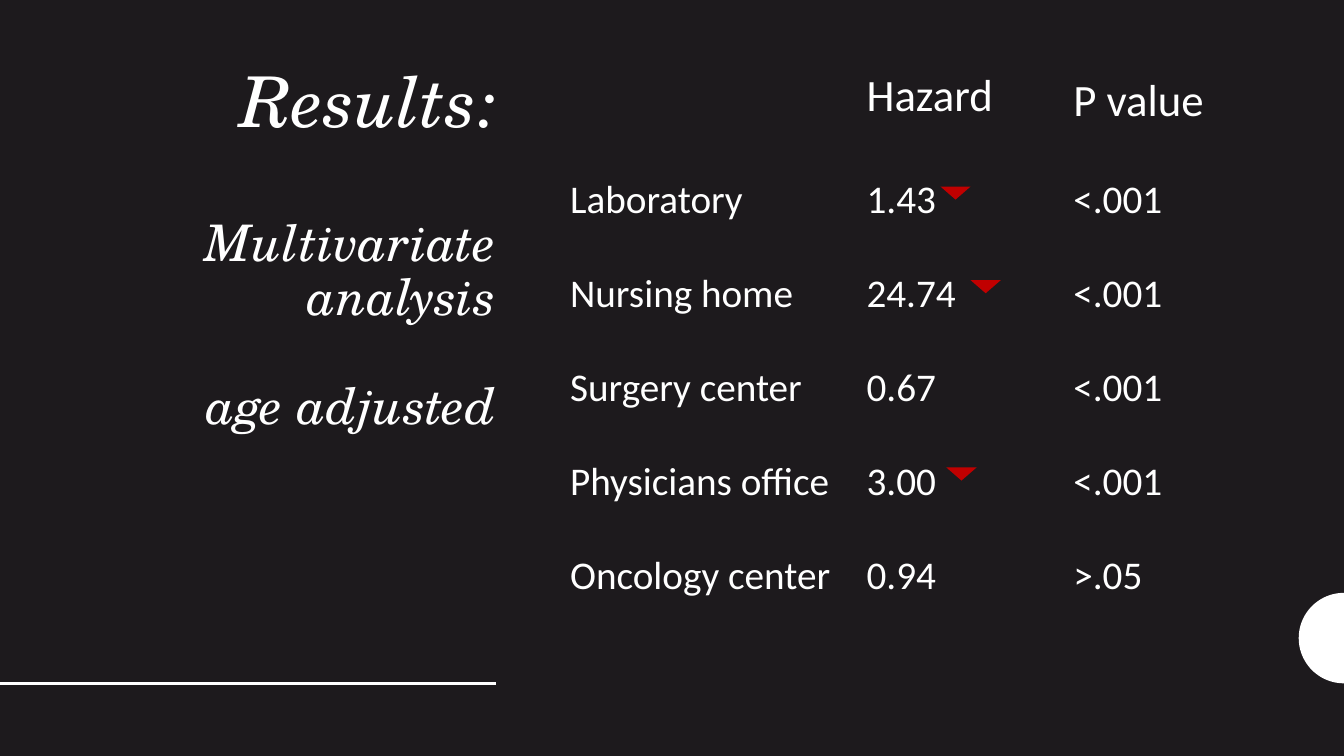
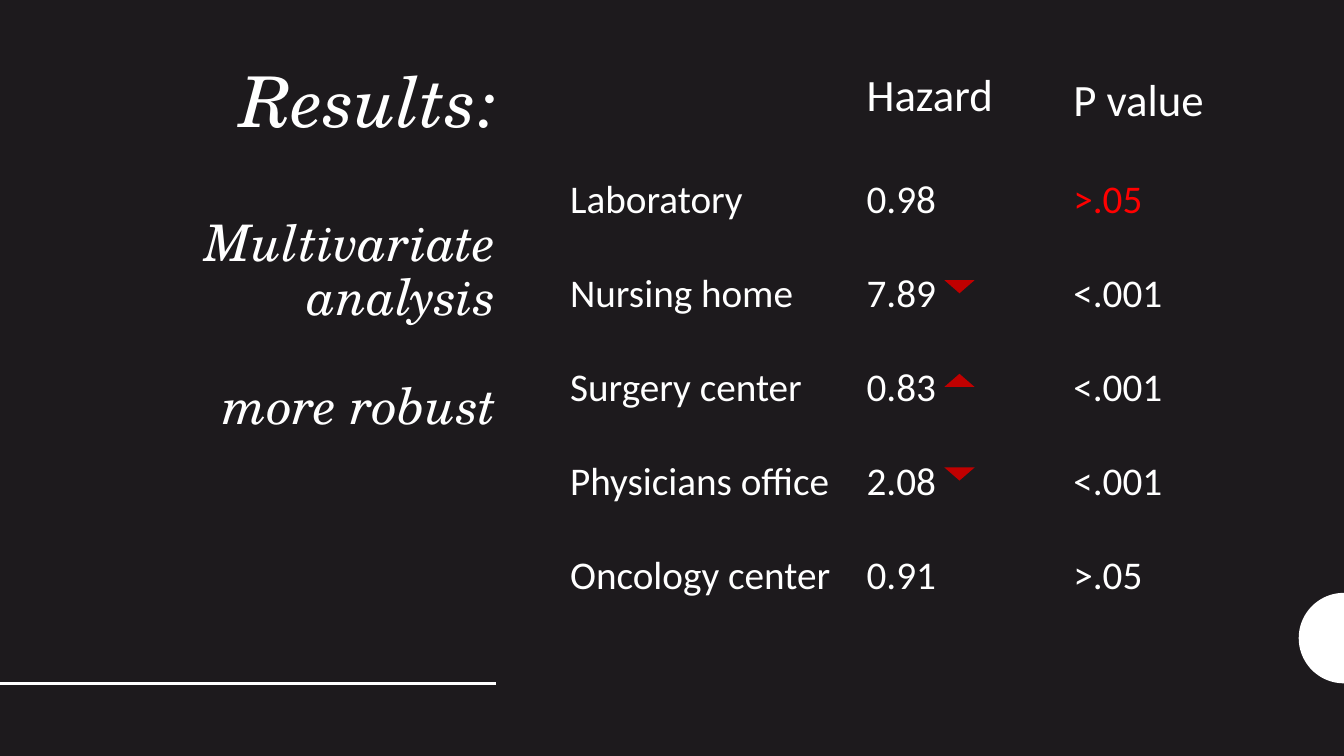
from math import cos, pi, sin

from lxml.etree import SubElement
from pptx import Presentation
from pptx.dml.color import RGBColor
from pptx.enum.shapes import MSO_CONNECTOR, MSO_SHAPE
from pptx.enum.text import MSO_ANCHOR, MSO_AUTO_SIZE, PP_ALIGN
from pptx.oxml.ns import qn
from pptx.util import Cm, Pt

COLORS = {"ground": "1D1A1D", "text": "FFFFFF", "marker": "C00000", "alert": "FF0000"}
TITLE_FONT = "TeX Gyre Schola"
BODY_FONT = "Calibri"

SITES = ["Laboratory", "Nursing home", "Surgery center", "Physicians office", "Oncology center"]
RESULTS = [
    {
        "model": "age adjusted",
        "hazards": ["1.43", "24.74", "0.67", "3.00", "0.94"],
        "p_values": ["<.001", "<.001", "<.001", "<.001", ">.05"],
        "alert_rows": [],
        "markers": [(0, 23.7, "down"), (1, 24.46, "down"), (3, 23.85, "down")],
    },
    {
        "model": "more robust",
        "hazards": ["0.98", "7.89", "0.83", "2.08", "0.91"],
        "p_values": [">.05", "<.001", "<.001", "<.001", ">.05"],
        "alert_rows": [0],
        "markers": [(1, 23.8, "down"), (2, 23.8, "up"), (3, 23.8, "down")],
    },
]

SLIDE_WIDTH, SLIDE_HEIGHT = 33.87, 19.05
TITLE_BOX = (2.11, 1.55, 10.64, 13.77)
SITE_LEFT, HAZARD_LEFT, P_VALUE_LEFT = 14.12, 21.59, 26.8
SITE_WIDTH, VALUE_WIDTH, HEADING_WIDTH = 7.85, 3.99, 5.21
COLUMN_TOP, COLUMN_HEIGHT = 3.07, 12.22
HEADING_HEIGHT = 1.63
RULE_Y, RULE_END = 17.22, 12.5
DISC_RADIUS = 1.14
MARKER_TOP, ROW_PITCH = 4.7, 2.36
MARKER_WIDTH, MARKER_HEIGHT = 0.76, 0.33


def color(name):
    return RGBColor.from_string(COLORS[name])


def write(frame, lines, size=28, font=BODY_FONT, italic=False, align=PP_ALIGN.LEFT,
          spacing=1.0, alert_rows=()):
    frame.word_wrap = True
    for row, line in enumerate(lines):
        text, line_size, gap = line if isinstance(line, tuple) else (line, size, 0)
        paragraph = frame.paragraphs[0] if row == 0 else frame.add_paragraph()
        paragraph.alignment = align
        paragraph.line_spacing = spacing
        paragraph.space_before = Pt(gap)
        run = paragraph.add_run()
        run.text = text
        run.font.size = Pt(line_size)
        run.font.name = font
        run.font.italic = italic
        run.font.color.rgb = color("alert" if row in alert_rows else "text")


def fill_plain(shape, name):
    shape.shadow.inherit = False
    shape.fill.solid()
    shape.fill.fore_color.rgb = color(name)
    shape.line.fill.background()


def add_decor(slide):
    center_y = RULE_Y - DISC_RADIUS
    angles = [pi / 2 + pi * step / 48 for step in range(49)]
    edge = [(Cm(SLIDE_WIDTH + DISC_RADIUS * cos(a)), Cm(center_y - DISC_RADIUS * sin(a)))
            for a in angles]
    outline = slide.shapes.build_freeform(*edge[0])
    outline.add_line_segments(edge[1:], close=True)
    fill_plain(outline.convert_to_shape(), "text")

    rule = slide.shapes.add_connector(
        MSO_CONNECTOR.STRAIGHT, Cm(0), Cm(RULE_Y), Cm(RULE_END), Cm(RULE_Y))
    rule.line.color.rgb = color("text")
    rule.line.width = Pt(2)
    SubElement(rule.element.spPr, qn("a:effectLst"))


def add_title(slide, model):
    title = slide.shapes.title
    title.left, title.top, title.width, title.height = map(Cm, TITLE_BOX)
    frame = title.text_frame
    frame.auto_size = MSO_AUTO_SIZE.NONE
    frame.vertical_anchor = MSO_ANCHOR.TOP
    lines = [("Results:", 50, 0), ("Multivariate analysis", 36, 54), (model, 36, 39)]
    write(frame, lines, font=TITLE_FONT, italic=True, align=PP_ALIGN.RIGHT, spacing=0.9)


def add_column(slide, left, top, width, height, lines, **text_format):
    column = slide.shapes.add_textbox(Cm(left), Cm(top), Cm(width), Cm(height))
    write(column.text_frame, lines, **text_format)
    column.text_frame.auto_size = MSO_AUTO_SIZE.SHAPE_TO_FIT_TEXT


def add_marker(slide, row, left, direction):
    marker = slide.shapes.add_shape(
        MSO_SHAPE.FLOWCHART_EXTRACT, Cm(left), Cm(MARKER_TOP + row * ROW_PITCH),
        Cm(MARKER_WIDTH), Cm(MARKER_HEIGHT))
    marker.rotation = 180 if direction == "down" else 0
    fill_plain(marker, "marker")


def add_results(deck, result):
    slide = deck.slides.add_slide(deck.slide_layouts[5])
    add_decor(slide)
    add_title(slide, result["model"])
    columns = [
        (SITE_LEFT, SITE_WIDTH, SITES, []),
        (HAZARD_LEFT, VALUE_WIDTH, result["hazards"], []),
        (P_VALUE_LEFT, VALUE_WIDTH, result["p_values"], result["alert_rows"]),
    ]
    for left, width, lines, alert_rows in columns:
        add_column(slide, left, COLUMN_TOP, width, COLUMN_HEIGHT, lines,
                   spacing=2.0, alert_rows=alert_rows)
    for left, top, heading in [(HAZARD_LEFT, 1.55, "Hazard"), (P_VALUE_LEFT, 1.68, "P value")]:
        add_column(slide, left, top, HEADING_WIDTH, HEADING_HEIGHT, [heading], size=32)
    for row, left, direction in result["markers"]:
        add_marker(slide, row, left, direction)


def main():
    deck = Presentation()
    deck.slide_width, deck.slide_height = Cm(SLIDE_WIDTH), Cm(SLIDE_HEIGHT)
    ground = deck.slide_master.background.fill
    ground.solid()
    ground.fore_color.rgb = color("ground")
    for result in RESULTS:
        add_results(deck, result)
    deck.save("out.pptx")


if __name__ == "__main__":
    main()
